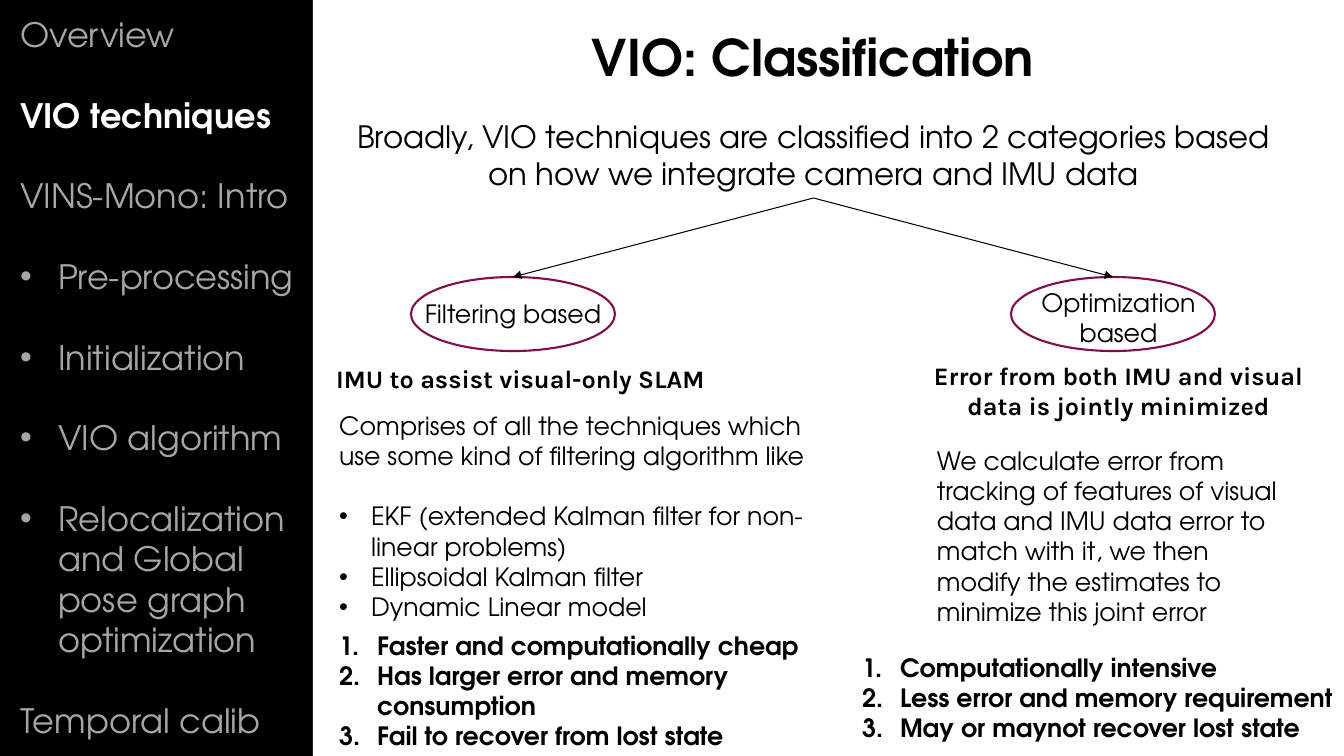
from lxml.etree import SubElement
from pptx import Presentation
from pptx.dml.color import RGBColor
from pptx.enum.shapes import MSO_CONNECTOR, MSO_SHAPE
from pptx.enum.text import MSO_ANCHOR, MSO_AUTO_SIZE, PP_ALIGN
from pptx.oxml.ns import qn
from pptx.util import Pt

EMU_PER_PX = 914400 / 100.8
SLIDE_SIZE = (1344, 756)
SANS, HEADING_FONT = "TeX Gyre Adventor", "Karla"
BLACK, WHITE, GREY, PLUM = "000000", "FFFFFF", "A6A6A6", "840D4B"
LINE_FACTOR = 1.2  # line height of the main font
DOT, NUMBER = "•", "1."
LEFT, CENTER = PP_ALIGN.LEFT, PP_ALIGN.CENTER

PANEL = (313, 0, 1031, 756)

# Paragraphs are (text, bullet, blank line before)
AGENDA_ACTIVE = "VIO techniques"
AGENDA = [
    ("Overview", None, False),
    (AGENDA_ACTIVE, None, True),
    ("VINS-Mono: Intro", None, True),
    ("Pre-processing", DOT, True),
    ("Initialization", DOT, True),
    ("VIO algorithm", DOT, True),
    ("Relocalization and Global pose graph optimization", DOT, True),
    ("Temporal calib", None, True),
]
FILTERING = [
    ("Comprises of all the techniques which use some kind of filtering "
     "algorithm like", None, False),
    ("EKF (extended Kalman filter for non-linear problems)", DOT, True),
    ("Ellipsoidal Kalman filter", DOT, False),
    ("Dynamic Linear model", DOT, False),
]
FILTERING_TRAITS = [
    ("Faster and computationally cheap", NUMBER, False),
    ("Has larger error and memory consumption", NUMBER, False),
    ("Fail to recover from lost state", NUMBER, False),
]
OPTIMIZATION_TRAITS = [
    ("Computationally intensive", NUMBER, False),
    ("Less error and memory requirement", NUMBER, False),
    ("May or maynot recover lost state", NUMBER, False),
]

TITLE = "VIO: Classification"
INTRO = ("Broadly, VIO techniques are classified into 2 categories based on "
         "how we integrate camera and IMU data")
OPTIMIZATION = ("We calculate error from tracking of features of visual data and "
                "IMU data error to match with it, we then modify the estimates "
                "to minimize this joint error")

# Oval box, name, name box, summary, summary box
CATEGORIES = [
    ((411, 277, 204, 74), "Filtering based", (412, 293, 202, 40),
     "IMU to assist visual-only SLAM", (315, 358, 411, 40)),
    ((1011, 277, 204, 74), "Optimization based", (1028, 282, 181, 72),
     "Error from both IMU and visual data is jointly minimized",
     (917, 355, 403, 72)),
]


def px(length):
    return round(length * EMU_PER_PX)


def color(hex_string):
    return RGBColor.from_string(hex_string)


def place(shape, box):
    shape.left, shape.top, shape.width, shape.height = map(px, box)


def set_bullet(paragraph, bullet, indent):
    properties = paragraph._p.get_or_add_pPr()
    hang = px(indent) if bullet else 0
    properties.set("marL", str(hang))
    properties.set("indent", str(-hang))
    if bullet == DOT:
        SubElement(properties, qn("a:buFont"), typeface="Arial")
        SubElement(properties, qn("a:buChar"), char=DOT)
    elif bullet == NUMBER:
        SubElement(properties, qn("a:buFont"), typeface="+mj-lt")
        SubElement(properties, qn("a:buAutoNum"), type="arabicPeriod")
    else:
        SubElement(properties, qn("a:buNone"))


def write(shape, box, paragraphs, size, bold=False, ink=BLACK, align=LEFT,
          font=SANS, indent=38, active=None):
    """Place the shape and fill it; the active paragraph is white and bold."""
    place(shape, box)
    frame = shape.text_frame
    frame.word_wrap = True
    frame.auto_size = MSO_AUTO_SIZE.NONE
    frame.vertical_anchor = MSO_ANCHOR.TOP
    for number, (text, bullet, gap) in enumerate(paragraphs):
        paragraph = frame.add_paragraph() if number else frame.paragraphs[0]
        set_bullet(paragraph, bullet, indent)
        paragraph.alignment = align
        paragraph.space_before = Pt(size * LINE_FACTOR if gap else 0)
        run = paragraph.add_run()
        run.text = text
        run.font.name = font
        run.font.size = Pt(size)
        run.font.bold = bold or text == active
        run.font.color.rgb = color(WHITE if text == active else ink)


def add_label(slide, box, text, size, **style):
    label = slide.shapes.add_textbox(0, 0, 0, 0)
    write(label, box, [(text, None, False)], size, **style)
    return label


def add_figure(slide, preset, box, line=None):
    figure = slide.shapes.add_shape(preset, *map(px, box))
    figure.shadow.inherit = False
    figure.fill.solid()
    figure.fill.fore_color.rgb = color(WHITE)
    if line:
        figure.line.color.rgb = color(line)
        figure.line.width = Pt(1.5)
    else:
        figure.line.fill.background()
    return figure


def add_arrow(slide, start, end):
    """Join the bottom of start to the top of end."""
    arrow = slide.shapes.add_connector(MSO_CONNECTOR.STRAIGHT, 0, 0, 0, 0)
    arrow.begin_connect(start, 2)
    arrow.end_connect(end, 0)
    arrow.line.color.rgb = color(BLACK)
    arrow.line.width = Pt(0.75)
    SubElement(arrow.line._get_or_add_ln(), qn("a:tailEnd"), type="triangle")
    SubElement(arrow._element.spPr, qn("a:effectLst"))


def main():
    deck = Presentation()
    deck.slide_width, deck.slide_height = map(px, SLIDE_SIZE)
    slide = deck.slides.add_slide(deck.slide_layouts.get_by_name("Comparison"))
    slide.background.fill.solid()
    slide.background.fill.fore_color.rgb = color(BLACK)

    panel = add_figure(slide, MSO_SHAPE.RECTANGLE, PANEL)
    slide.shapes._spTree.insert(2, panel._element)  # behind the placeholders

    title, agenda, filtering, filtering_traits, optimization_traits = slide.placeholders
    write(title, (377, 21, 872, 72), [(TITLE, None, False)], 36,
          bold=True, align=CENTER)
    write(agenda, (10, 9, 303, 743), AGENDA, 24, ink=GREY, active=AGENDA_ACTIVE)
    write(filtering, (329, 405, 498, 224), FILTERING, 18, indent=32)
    write(filtering_traits, (329, 625, 507, 131), FILTERING_TRAITS, 18, bold=True)
    write(optimization_traits, (852, 647, 507, 102), OPTIMIZATION_TRAITS, 18,
          bold=True)

    intro = add_label(slide, (340, 113, 947, 85), INTRO, 22, align=CENTER)
    add_label(slide, (927, 440, 375, 194), OPTIMIZATION, 18)

    for oval_box, name, name_box, summary, summary_box in CATEGORIES:
        oval = add_figure(slide, MSO_SHAPE.OVAL, oval_box, line=PLUM)
        add_label(slide, name_box, name, 18, align=CENTER)
        add_label(slide, summary_box, summary, 18, bold=True, align=CENTER,
                  font=HEADING_FONT)
        add_arrow(slide, intro, oval)

    deck.save("out.pptx")


if __name__ == "__main__":
    main()
